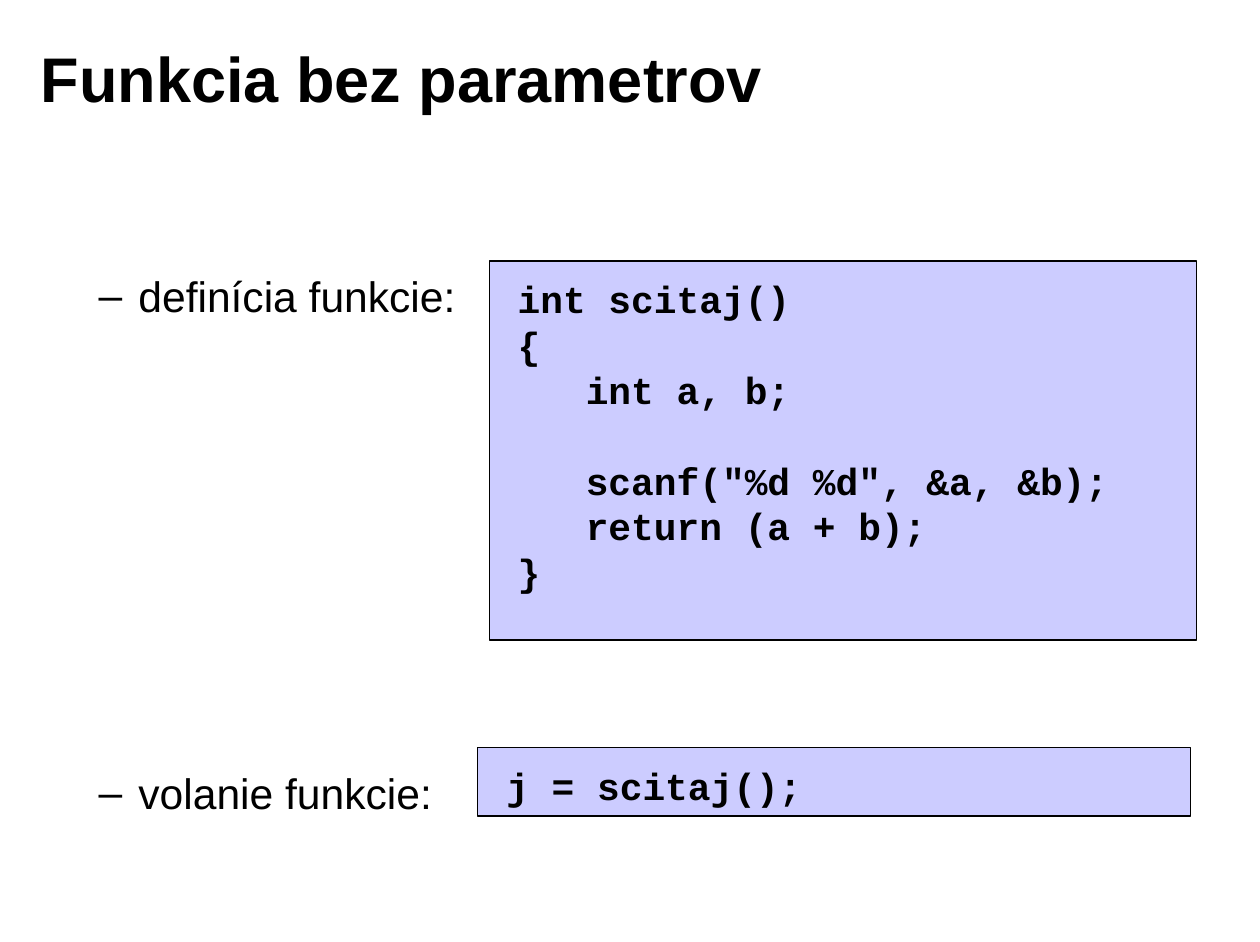
"""Builds a slide that shows the definition and the call of a C function without parameters."""
from lxml.etree import SubElement
from pptx import Presentation
from pptx.dml.color import RGBColor
from pptx.enum.shapes import MSO_SHAPE
from pptx.enum.text import MSO_ANCHOR, MSO_AUTO_SIZE, PP_ALIGN
from pptx.oxml.ns import qn
from pptx.util import Inches, Pt

COLORS = {"text": "000000", "code_fill": "CCCCFF", "code_line": "000000"}
CODE_LINE_HEIGHT = Pt(28.8)

presentation = Presentation()
presentation.slide_width = Inches(11.1)
presentation.slide_height = Inches(8.3)
column = presentation.slide_width / 100
row = presentation.slide_height / 100
slide = presentation.slides.add_slide(presentation.slide_layouts[1])


def grid(left, top, width, height):
    """Turns columns and rows into slide lengths."""
    return int(left * column), int(top * row), int(width * column), int(height * row)


def add_run(paragraph, text, font_name, size, bold):
    """Adds one formatted run to a paragraph."""
    run = paragraph.add_run()
    run.text = text
    run.font.name = font_name
    run.font.size = Pt(size)
    run.font.bold = bold
    run.font.color.rgb = RGBColor.from_string(COLORS["text"])


title = slide.shapes.title
body = slide.placeholders[1]
for placeholder, place, anchor in [
    (title, grid(2.25, 2.05, 80.27, 12.29), MSO_ANCHOR.MIDDLE),
    (body, grid(1.89, 27.95, 96.04, 63.98), MSO_ANCHOR.TOP),
]:
    placeholder.left, placeholder.top, placeholder.width, placeholder.height = place
    frame = placeholder.text_frame
    frame.auto_size = MSO_AUTO_SIZE.NONE
    frame.word_wrap = True
    frame.vertical_anchor = anchor
    frame.margin_left = frame.margin_right = Inches(0.11)
    frame.margin_top = frame.margin_bottom = Inches(0.06)

title_paragraph = title.text_frame.paragraphs[0]
title_paragraph.alignment = PP_ALIGN.LEFT
add_run(title_paragraph, "Funkcia bez parametrov", "Arial", 40, True)

for index, (label, gap) in enumerate([("definícia funkcie:", 0), ("volanie funkcie:", 283)]):
    paragraph = body.text_frame.paragraphs[0] if index == 0 else body.text_frame.add_paragraph()
    paragraph.level = 1
    paragraph.space_before = Pt(gap)
    properties = paragraph._p.get_or_add_pPr()
    properties.set("marL", str(Inches(0.9)))
    properties.set("indent", str(Inches(-0.35)))
    SubElement(properties, qn("a:buChar"), char="–")
    add_run(paragraph, label, "Arial", 27, False)

definition = [
    ("int scitaj()", 0),
    ("{", 0),
    ("   int a, b;", 0),
    ('   scanf("%d %d", &a, &b);', CODE_LINE_HEIGHT),
    ("   return (a + b);", 0),
    ("}", 0),
]
call = [("j = scitaj();", 0)]

for place, code_lines in [
    (grid(38.83, 27.71, 56.13, 40.24), definition),
    (grid(37.93, 79.4, 56.58, 7.23), call),
]:
    code_box = slide.shapes.add_shape(MSO_SHAPE.RECTANGLE, *place)
    code_box.shadow.inherit = False
    code_box.fill.solid()
    code_box.fill.fore_color.rgb = RGBColor.from_string(COLORS["code_fill"])
    code_box.line.color.rgb = RGBColor.from_string(COLORS["code_line"])
    code_box.line.width = Pt(0.75)
    frame = code_box.text_frame
    frame.word_wrap = False
    frame.vertical_anchor = MSO_ANCHOR.TOP
    frame.margin_left = Inches(0.25)
    frame.margin_top = Inches(0.13)
    frame.margin_right = frame.margin_bottom = 0
    for index, (code, gap) in enumerate(code_lines):
        paragraph = frame.paragraphs[0] if index == 0 else frame.add_paragraph()
        paragraph.alignment = PP_ALIGN.LEFT
        paragraph.line_spacing = CODE_LINE_HEIGHT
        paragraph.space_before = gap
        add_run(paragraph, code, "Courier New", 24, True)

presentation.save("out.pptx")
